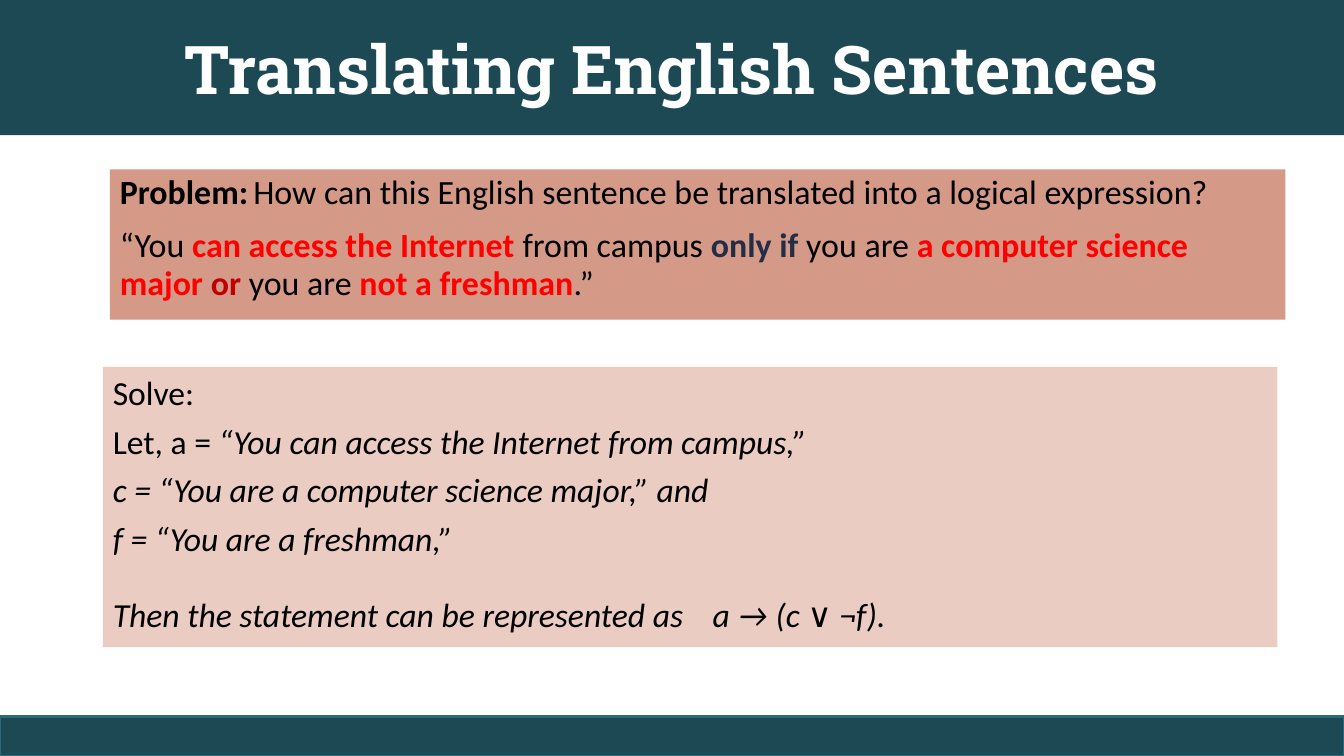
from lxml import etree
from pptx import Presentation
from pptx.dml.color import RGBColor
from pptx.enum.shapes import MSO_SHAPE
from pptx.enum.text import MSO_ANCHOR, PP_ALIGN
from pptx.oxml.ns import qn
from pptx.util import Inches, Pt

RECTANGLE = MSO_SHAPE.RECTANGLE
TOP, MIDDLE = MSO_ANCHOR.TOP, MSO_ANCHOR.MIDDLE
LEFT, CENTER = PP_ALIGN.LEFT, PP_ALIGN.CENTER

TEAL = RGBColor(0x1C, 0x49, 0x54)
TEAL_EDGE = RGBColor(0x29, 0x6B, 0x7C)
CLAY = RGBColor(0xD5, 0x99, 0x88)
PALE_CLAY = RGBColor(0xEA, 0xCC, 0xC3)
WHITE = RGBColor(0xFF, 0xFF, 0xFF)
BLACK = RGBColor(0x00, 0x00, 0x00)
RED = RGBColor(0xFF, 0x00, 0x00)
DARK_RED = RGBColor(0xC0, 0x00, 0x00)
NAVY = RGBColor(0x24, 0x2D, 0x46)

SLIDE_WIDTH, SLIDE_HEIGHT = 13.33, 7.5
FORMULA_TAB = 5.95

TITLE_FONT = {"name": "Roboto Slab", "size": Pt(48), "bold": True}
PROBLEM_FONT = {"name": "Calibri", "size": Pt(24.2)}
SOLUTION_FONT = {"name": "Calibri", "size": Pt(24)}
BOLD = {"bold": True}
ITALIC = {"italic": True}

# Each paragraph is a list of runs: (text, colour, format values)
TITLE = [[("Translating English Sentences", WHITE, {})]]
PROBLEM = [
    [
        ("Problem:", BLACK, BOLD),
        (" ", BLACK, {"size": Pt(15.4)}),
        ("How can this English sentence be translated into a logical expression?", BLACK, {}),
    ],
    [
        ("“You ", BLACK, {}),
        ("can access the Internet", RED, BOLD),
        (" from campus ", BLACK, {}),
        ("only if ", NAVY, BOLD),
        ("you are ", BLACK, {}),
        ("a computer science major ", RED, BOLD),
        ("or ", DARK_RED, BOLD),
        ("you are ", BLACK, {}),
        ("not a freshman", RED, BOLD),
        (".”", BLACK, {}),
    ],
]
SOLUTION = [
    [("Solve:", BLACK, {})],
    [
        ("Let, a = ", BLACK, {}),
        ("“You can access the Internet from campus,”", BLACK, ITALIC),
    ],
    [("c = “You are a computer science major,” and", BLACK, ITALIC)],
    [("f = “You are a freshman,”", BLACK, ITALIC)],
    [
        ("Then the statement can be represented as\ta → (c ", BLACK, ITALIC),
        ("∨", BLACK, {}),
        (" ¬f).", BLACK, ITALIC),
    ],
]


def add_panel(slide, box, fill, edge=None):
    panel = slide.shapes.add_shape(RECTANGLE, *map(Inches, box))
    panel.shadow.inherit = False
    panel.fill.solid()
    panel.fill.fore_color.rgb = fill
    if edge is None:
        panel.line.fill.background()
    else:
        panel.line.color.rgb = edge
        panel.line.width = Pt(2)
    return panel


def write(panel, paragraphs, base_font, anchor=TOP, **paragraph_format):
    """Fill the panel with runs and return its paragraphs."""
    frame = panel.text_frame
    frame.word_wrap = True
    frame.vertical_anchor = anchor
    for index, runs in enumerate(paragraphs):
        paragraph = frame.add_paragraph() if index else frame.paragraphs[0]
        for name, value in paragraph_format.items():
            if index or name != "space_before":
                setattr(paragraph, name, value)
        for text, color, font_format in runs:
            run = paragraph.add_run()
            run.text = text
            run.font.color.rgb = color
            for name, value in {**base_font, **font_format}.items():
                setattr(run.font, name, value)
    return frame.paragraphs


def add_tab_stop(paragraph, position):
    properties = paragraph._p.get_or_add_pPr()
    tab_list = etree.SubElement(properties, qn("a:tabLst"))
    etree.SubElement(tab_list, qn("a:tab"), pos=str(Inches(position)), algn="l")


def main():
    presentation = Presentation()
    presentation.slide_width = Inches(SLIDE_WIDTH)
    presentation.slide_height = Inches(SLIDE_HEIGHT)
    slide = presentation.slides.add_slide(presentation.slide_layouts[6])

    title = add_panel(slide, (0, 0, SLIDE_WIDTH, 1.34), TEAL)
    write(title, TITLE, TITLE_FONT, MIDDLE, alignment=CENTER)

    add_panel(slide, (0, 7.11, SLIDE_WIDTH, 0.39), TEAL, TEAL_EDGE)

    problem = add_panel(slide, (1.09, 1.68, 11.66, 1.49), CLAY)
    write(problem, PROBLEM, PROBLEM_FONT,
          alignment=LEFT, line_spacing=0.94, space_before=Pt(10))

    solution = add_panel(slide, (1.02, 3.64, 11.65, 2.78), PALE_CLAY)
    conclusion = write(solution, SOLUTION, SOLUTION_FONT,
                       alignment=LEFT, space_after=Pt(6))[-1]
    conclusion.space_before = Pt(19.5)
    add_tab_stop(conclusion, FORMULA_TAB)

    presentation.save("out.pptx")


if __name__ == "__main__":
    main()
